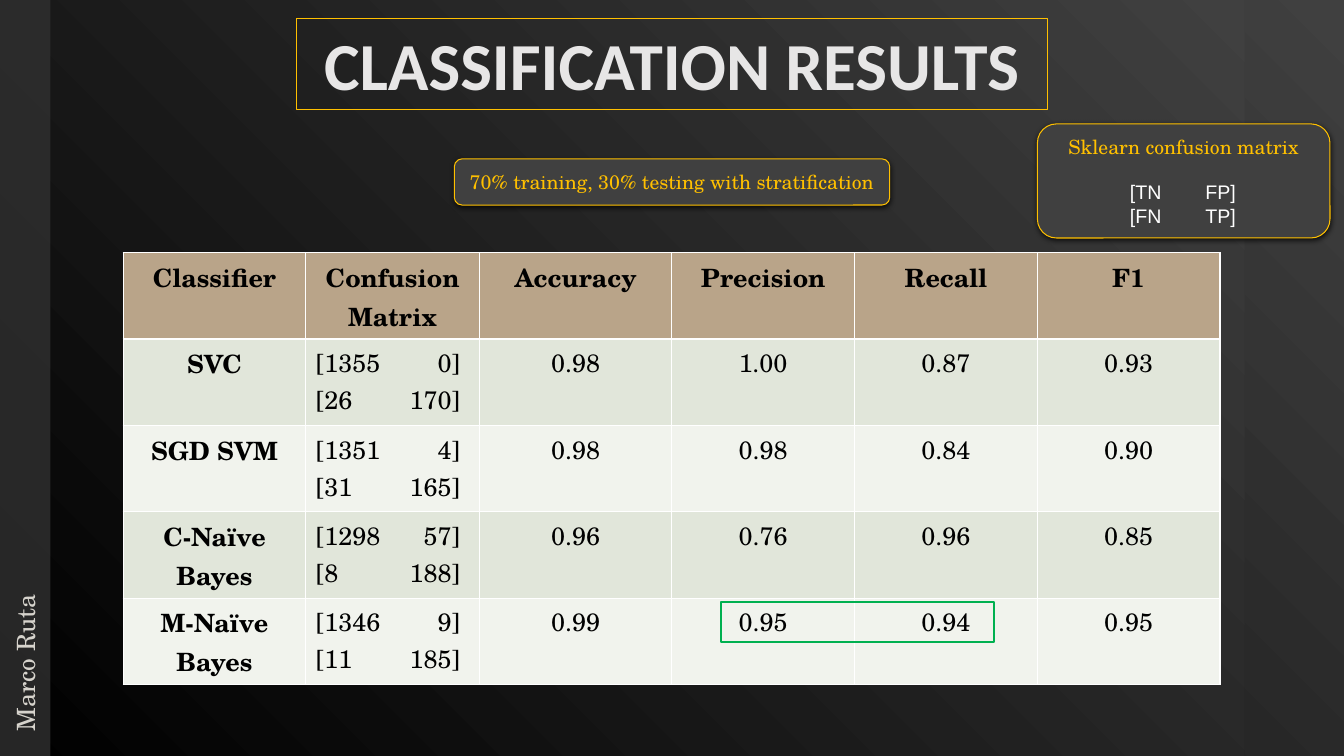
import dataclasses
import typing

import lxml.etree
import pptx
import pptx.dml.color
import pptx.enum.shapes
import pptx.enum.text
import pptx.oxml
import pptx.oxml.ns
import pptx.util

Pt = pptx.util.Pt
ALIGN = pptx.enum.text.PP_ALIGN
ANCHOR = pptx.enum.text.MSO_ANCHOR
SHAPE = pptx.enum.shapes.MSO_SHAPE
qn = pptx.oxml.ns.qn
NS = 'xmlns:a="http://schemas.openxmlformats.org/drawingml/2006/main"'

COLORS = {
    "glow": "404040", "dark": "000000", "strip": "303030", "gold": "FFC000",
    "title": "E7E6E6", "author": "D6D3CC", "best": "00B050", "white": "FFFFFF",
    "header": "B9A489", "odd": "E1E6DA", "even": "F1F3ED",
}
SERIF = "TeX Gyre Schola"
SLIDE_WIDTH, SLIDE_HEIGHT = 960, 540
COLUMN_WIDTHS = (130.5, 124, 137.5, 130.5, 130.5, 130.5)
ROW_HEIGHT = 61.7
MATRIX_TAB = 103


@dataclasses.dataclass(frozen=True)
class Box:
    left: float
    top: float
    width: float
    height: float
    kind: typing.Any = SHAPE.RECTANGLE
    fill: str | None = None
    line: str | None = None
    weight: float = 0.75
    shadow: bool = False


@dataclasses.dataclass(frozen=True)
class Result:
    classifier: str
    matrix: tuple[str, str]
    scores: tuple[str, str, str, str]


BACKDROP = Box(0, 0, 889, SLIDE_HEIGHT)
STRIP = Box(0, 0, 36, SLIDE_HEIGHT, fill="strip")
TITLE = Box(211.5, 13, 537, 65.5, line="gold")
SPLIT = Box(324.5, 113.5, 311, 33, SHAPE.ROUNDED_RECTANGLE, "glow", "gold", shadow=True)
LEGEND = Box(741, 88.5, 209, 81.5, SHAPE.ROUNDED_RECTANGLE, "glow", "gold", shadow=True)
BEST = Box(515, 430, 195, 28.5, line="best", weight=1.1)

HEADINGS = ("Classifier", "Confusion Matrix", "Accuracy", "Precision", "Recall", "F1")
RESULTS = (
    Result("SVC", ("[1355\t0]", "[26\t170]"), ("0.98", "1.00", "0.87", "0.93")),
    Result("SGD SVM", ("[1351\t4]", "[31\t165]"), ("0.98", "0.98", "0.84", "0.90")),
    Result("C-Naïve Bayes", ("[1298\t57]", "[8\t188]"), ("0.96", "0.76", "0.96", "0.85")),
    Result("M-Naïve Bayes", ("[1346\t9]", "[11\t185]"), ("0.99", "0.95", "0.94", "0.95")),
)


def rgb(name: str) -> pptx.dml.color.RGBColor:
    return pptx.dml.color.RGBColor.from_string(COLORS[name])


def radial_gradient() -> typing.Any:
    return pptx.oxml.parse_xml(
        f'<a:gradFill {NS} rotWithShape="1"><a:gsLst>'
        f'<a:gs pos="0"><a:srgbClr val="{COLORS["glow"]}"/></a:gs>'
        f'<a:gs pos="100000"><a:srgbClr val="{COLORS["dark"]}"/></a:gs>'
        '</a:gsLst><a:path path="circle"><a:fillToRect l="100000" b="100000"/></a:path>'
        '</a:gradFill>')


def replace_fill(properties: typing.Any) -> None:
    solid = properties.find(qn("a:solidFill"))
    properties.replace(solid, radial_gradient())


def draw_box(slide: typing.Any, box: Box) -> typing.Any:
    shape = slide.shapes.add_shape(
        box.kind, Pt(box.left), Pt(box.top), Pt(box.width), Pt(box.height))
    shape.shadow.inherit = False
    if box.fill:
        shape.fill.solid()
        shape.fill.fore_color.rgb = rgb(box.fill)
    else:
        shape.fill.background()
    if box.line:
        shape.line.color.rgb = rgb(box.line)
        shape.line.width = Pt(box.weight)
    else:
        shape.line.fill.background()
    if box.shadow:
        effects = shape._element.spPr.find(qn("a:effectLst"))
        effects.append(pptx.oxml.parse_xml(
            f'<a:outerShdw {NS} blurRad="{Pt(4)}" dist="{Pt(1.2)}" dir="5400000" '
            f'rotWithShape="0"><a:srgbClr val="{COLORS["dark"]}">'
            '<a:alpha val="75000"/></a:srgbClr></a:outerShdw>'))
    return shape


def write(paragraph: typing.Any, text: str, size: float, color: str,
          font: str = SERIF, bold: bool = False, align: typing.Any = ALIGN.CENTER) -> None:
    paragraph.text = text
    paragraph.alignment = align
    paragraph.font.size = Pt(size)
    paragraph.font.name = font
    paragraph.font.bold = bold
    paragraph.font.color.rgb = rgb(color)


def set_tabs(paragraph: typing.Any, positions: tuple[float, ...], side: str) -> None:
    properties = paragraph._p.get_or_add_pPr()
    stops = pptx.oxml.parse_xml(f"<a:tabLst {NS}/>")
    for position in positions:
        lxml.etree.SubElement(stops, qn("a:tab"), pos=str(Pt(position)), algn=side)
    default_run = properties.find(qn("a:defRPr"))
    default_run.addprevious(stops)


def draw_backdrop(slide: typing.Any) -> None:
    slide.background.fill.solid()
    slide.background.fill.fore_color.rgb = rgb("dark")
    replace_fill(slide._element.cSld.find(qn("p:bg")).find(qn("p:bgPr")))
    backdrop = draw_box(slide, dataclasses.replace(BACKDROP, fill="dark"))
    replace_fill(backdrop._element.spPr)
    strip = draw_box(slide, STRIP)
    tint = strip._element.spPr.find(qn("a:solidFill"))[0]
    lxml.etree.SubElement(tint, qn("a:alpha"), val="80000")


def draw_author(slide: typing.Any) -> None:
    author = slide.shapes.add_textbox(Pt(-243.5), Pt(253.5), Pt(523), Pt(29))
    author.rotation = 270
    author.text_frame.word_wrap = True
    write(author.text_frame.paragraphs[0], "Marco Ruta", 18, "author", align=ALIGN.LEFT)


def draw_results(slide: typing.Any) -> None:
    row_count = len(RESULTS) + 1
    results = slide.shapes.add_table(
        row_count, len(HEADINGS), Pt(88), Pt(180.5),
        Pt(sum(COLUMN_WIDTHS)), Pt(ROW_HEIGHT * row_count)).table
    for column, width in zip(results.columns, COLUMN_WIDTHS):
        column.width = Pt(width)
    rows = [tuple((heading,) for heading in HEADINGS)]
    for result in RESULTS:
        scores = ((score,) for score in result.scores)
        rows.append(((result.classifier,), result.matrix, *scores))
    for row_index, row in enumerate(rows):
        results.rows[row_index].height = Pt(ROW_HEIGHT)
        band = "header" if row_index == 0 else ("even", "odd")[row_index % 2]
        for column_index, lines in enumerate(row):
            cell = results.cell(row_index, column_index)
            cell.fill.solid()
            cell.fill.fore_color.rgb = rgb(band)
            is_matrix = len(lines) > 1
            for line_index, line in enumerate(lines):
                frame = cell.text_frame
                paragraph = frame.add_paragraph() if line_index else frame.paragraphs[0]
                write(paragraph, line, 18, "dark",
                      bold=row_index == 0 or column_index == 0,
                      align=ALIGN.LEFT if is_matrix else ALIGN.CENTER)
                if is_matrix:
                    set_tabs(paragraph, (MATRIX_TAB,), "r")


def draw_legend(slide: typing.Any) -> None:
    frame = draw_box(slide, LEGEND).text_frame
    frame.vertical_anchor = ANCHOR.MIDDLE
    write(frame.paragraphs[0], "Sklearn confusion matrix", 14, "gold")
    for line, gap in (("\t[TN\tFP]", 16), ("\t[FN\tTP]", 0)):
        paragraph = frame.add_paragraph()
        write(paragraph, line, 14, "white", font="Arial", align=ALIGN.LEFT)
        paragraph.space_before = Pt(gap)
        set_tabs(paragraph, (55, 109), "l")


def main() -> None:
    deck = pptx.Presentation()
    deck.slide_width, deck.slide_height = Pt(SLIDE_WIDTH), Pt(SLIDE_HEIGHT)
    slide = deck.slides.add_slide(deck.slide_layouts[6])
    draw_backdrop(slide)
    title = draw_box(slide, TITLE).text_frame
    title.vertical_anchor = ANCHOR.TOP
    write(title.paragraphs[0], "CLASSIFICATION RESULTS", 48, "title", "Calibri", True)
    draw_author(slide)
    draw_results(slide)
    split = draw_box(slide, SPLIT).text_frame
    split.vertical_anchor = ANCHOR.MIDDLE
    write(split.paragraphs[0], "70% training, 30% testing with stratification", 14, "gold")
    draw_box(slide, BEST)
    draw_legend(slide)
    deck.save("out.pptx")


if __name__ == "__main__":
    main()
